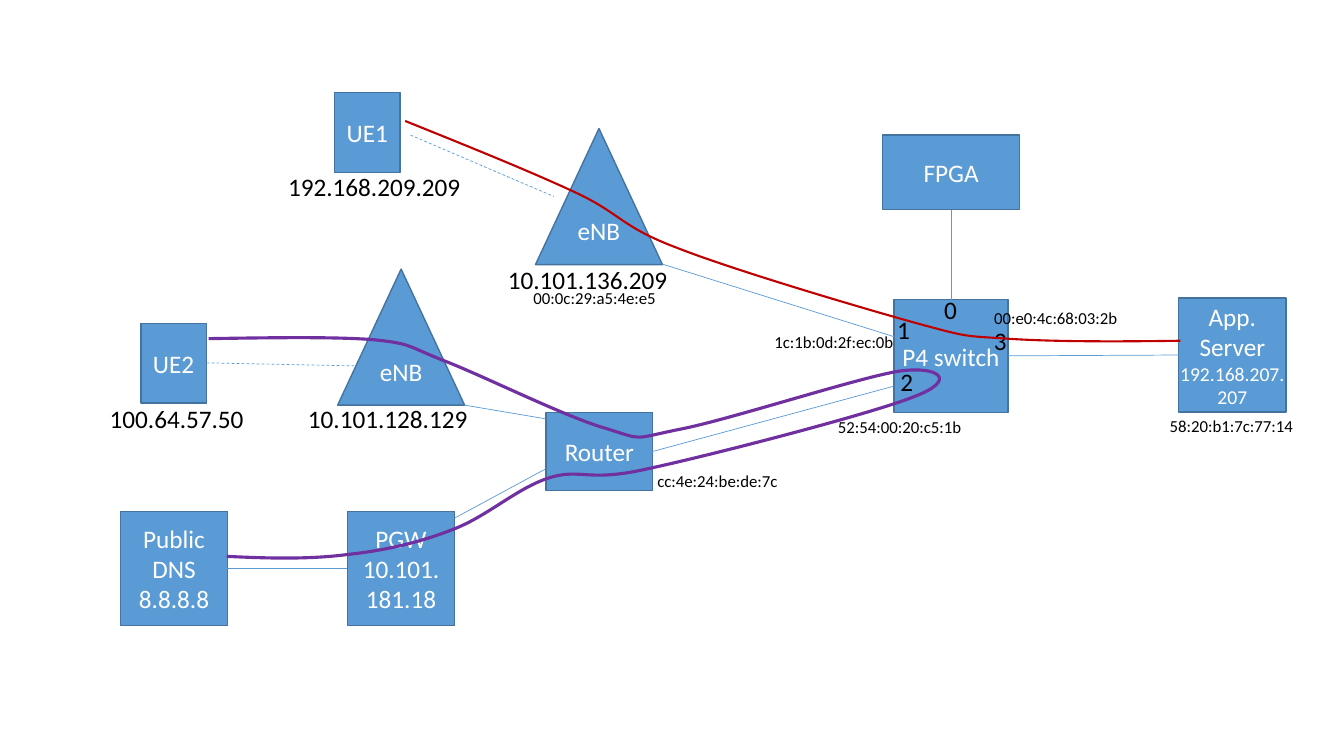
from lxml import etree
from pptx import Presentation
from pptx.dml.color import RGBColor
from pptx.enum.dml import MSO_LINE
from pptx.enum.shapes import MSO_CONNECTOR, MSO_SHAPE
from pptx.enum.text import MSO_ANCHOR, MSO_AUTO_SIZE, PP_ALIGN
from pptx.oxml.ns import qn
from pptx.util import Pt

RECT, TRIANGLE = MSO_SHAPE.RECTANGLE, MSO_SHAPE.ISOSCELES_TRIANGLE
STRAIGHT, DASH = MSO_CONNECTOR.STRAIGHT, MSO_LINE.DASH
MIDDLE, CENTER = MSO_ANCHOR.MIDDLE, PP_ALIGN.CENTER
GROW = MSO_AUTO_SIZE.SHAPE_TO_FIT_TEXT

BLUE = RGBColor(0x5B, 0x9B, 0xD5)
EDGE = RGBColor(0x43, 0x73, 0x9E)
WHITE = RGBColor(0xFF, 0xFF, 0xFF)
BLACK = RGBColor(0, 0, 0)
RED = RGBColor(0xC0, 0, 0)
PURPLE = RGBColor(0x70, 0x30, 0xA0)

FONT = "Calibri"
BOX, UE, TOWER = (76.6, 81.4), (46.8, 56.9), (90.7, 97.2)

# preset, text, left, top, (width, height), side inset, size of last paragraph
NODES = [
    (TRIANGLE, "eNB", 382.5, 91.8, TOWER, 7.2, 18),
    (RECT, "P4 switch", 638.6, 214, (81.4, 80.6), 0, 18),
    (RECT, "App.\vServer\n192.168.207.207", 842, 213, BOX, 0, 14),
    (RECT, "Router", 390, 294.5, (76.3, 56), 7.2, 18),
    (TRIANGLE, "eNB", 241.2, 192.2, TOWER, 7.2, 18),
    (RECT, "PGW\n10.101.181.18", 248.2, 365.5, BOX, 7.2, 18),
    (RECT, "FPGA", 630.4, 96.4, (98, 53.3), 7.2, 18),
    (RECT, "UE1", 239, 66.2, UE, 7.2, 18),
    (RECT, "UE2", 100.6, 230.9, UE, 7.2, 18),
    (RECT, "Public\vDNS\n8.8.8.8", 86, 365.5, BOX, 0, 18),
]

# x1, y1, x2, y2, dash
LINKS = [
    (473, 188.6, 638.6, 240.5, None),
    (720, 254.2, 842, 253.6, None),
    (331.9, 289.4, 390, 299.2, None),
    (324.7, 370.1, 390, 334.8, None),
    (465.8, 322.6, 638.6, 275.8, None),
    (679.4, 149.8, 679.4, 218.2, None),
    (293.2, 96.5, 395.8, 140.4, DASH),
    (147.6, 259.2, 255.6, 261.4, DASH),
    (162, 406.1, 248.2, 406.1, None),
]

# text, left, top, width
IP_LABELS = [
    ("10.101.136.209", 355.7, 185, 129.6),
    ("10.101.128.129", 212.9, 284.4, 129.6),
    ("192.168.209.209", 198.7, 118.8, 139),
    ("100.64.57.50", 71.3, 284.4, 110.9),
]
MAC_LABELS = [
    ("58:20:b1:7c:77:14", 828.3, 293.4, 104.4),
    ("cc:4e:24:be:de:7c", 462.4, 332.6, 102.2),
    ("00:e0:4c:68:03:2b", 703, 216.4, 104.4),
    ("1c:1b:0d:2f:ec:0b", 546, 233.3, 100.8),
    ("52:54:00:20:c5:1b", 591.4, 294.5, 104.4),
    ("00:0c:29:a5:4e:e5", 374, 202.3, 103.7),
]
PORTS = [
    ("0", 674.4, 210.2, 15.8),
    ("1", 640.8, 224.6, 15.8),
    ("3", 709.9, 232.6, 15.8),
    ("2", 643.2, 261.4, 15.8),
]

# Bezier curves: a start point, then two control points and an end point each
UE1_ROUTE = [
    (289.4, 86.4),
    (334.1, 104.4), (378.7, 122.4), (411.1, 137.5),
    (443.5, 152.6), (443.5, 162), (483.8, 177.1),
    (524.2, 193), (614.2, 219.6), (653, 230.4),
    (692.6, 241.2), (687.6, 239.8), (719.3, 241.9),
    (751, 244.1), (797, 244.1), (843.1, 243.4),
]
UE2_ROUTE = [
    (149, 241.9),
    (193.7, 241.2), (238.3, 240.5), (266.4, 242.6),
    (294.5, 245.5), (290.2, 247), (317.5, 257.8),
    (345.6, 268.6), (404.6, 298.1), (432.7, 306),
    (460.8, 314.6), (450, 313.9), (485.3, 306.7),
    (519.8, 300.2), (614.2, 269.3), (643, 265),
    (671, 261.4), (684, 271.4), (653.8, 283),
    (624.2, 295.2), (506.9, 325.4), (463, 334.8),
    (419, 344.9), (415.4, 334.1), (392.4, 341.3),
    (369.4, 348.5), (348.5, 368.6), (324, 378),
    (300.2, 387.4), (275.8, 393.1), (249.1, 396),
    (221.8, 399.6), (192.2, 398.9), (162, 397.4),
]


def set_attrs(obj, values):
    """Set each attribute named in a dict of format values."""
    for name, value in values.items():
        setattr(obj, name, value)


def style_line(line, color, width, dash=None):
    """Give a line its colour, width and dash."""
    line.color.rgb = color
    line.width = Pt(width)
    if dash is not None:
        line.dash_style = dash


def style_paragraph(p, size, color):
    """Format every run of a paragraph."""
    for r in p.runs:
        set_attrs(r.font, {"name": FONT, "size": Pt(size)})
        r.font.color.rgb = color


def add_node(s, preset, text, left, top, size, inset, last_size):
    """Add a blue network element with centred white text."""
    sp = s.shapes.add_shape(preset, Pt(left), Pt(top), *map(Pt, size))
    sp.shadow.inherit = False
    sp.fill.solid()
    sp.fill.fore_color.rgb = BLUE
    style_line(sp.line, EDGE, 1)
    tf = sp.text_frame
    set_attrs(tf, {"word_wrap": True, "vertical_anchor": MIDDLE,
                   "margin_left": Pt(inset), "margin_right": Pt(inset)})
    tf.text = text
    for p in tf.paragraphs:
        p.alignment = CENTER
        style_paragraph(p, 18, WHITE)
    style_paragraph(tf.paragraphs[-1], last_size, WHITE)


def add_link(s, x1, y1, x2, y2, dash):
    """Add a thin straight link between two network elements."""
    sp = s.shapes.add_connector(STRAIGHT, Pt(x1), Pt(y1), Pt(x2), Pt(y2))
    style_line(sp.line, BLUE, 0.5, dash)
    etree.SubElement(sp._element.spPr, qn("a:effectLst"))


def add_label(s, text, left, top, width, size, is_port=False):
    """Add a black address label, or a port number without margins."""
    height = size * 1.2 + (0 if is_port else 7.2)
    sp = s.shapes.add_textbox(Pt(left), Pt(top), Pt(width), Pt(height))
    tf = sp.text_frame
    set_attrs(tf, {"word_wrap": is_port, "auto_size": GROW})
    if is_port:
        sides = ("left", "top", "right", "bottom")
        set_attrs(tf, {f"margin_{side}": 0 for side in sides})
    tf.text = text
    style_paragraph(tf.paragraphs[0], size, BLACK)


def add_route(s, points, span, color, width):
    """Add a smooth open traffic route whose curve is span points wide."""
    fb = s.shapes.build_freeform(*map(Pt, points[0]))
    fb.add_line_segments([tuple(map(Pt, xy)) for xy in points[1:]], close=False)
    sp = fb.convert_to_shape()
    outline = sp._element.spPr.find(".//" + qn("a:path"))
    steps = outline.findall(qn("a:lnTo"))
    for i in range(0, len(steps), 3):
        curve = etree.SubElement(outline, qn("a:cubicBezTo"))
        for step in steps[i:i + 3]:
            curve.append(step[0])
            outline.remove(step)
    sp.width = Pt(span)
    outline.set("w", str(Pt(span)))
    sp.shadow.inherit = False
    sp.fill.background()
    style_line(sp.line, color, width)


def main():
    """Build the network diagram and save it."""
    prs = Presentation()
    set_attrs(prs, {"slide_width": Pt(960), "slide_height": Pt(540)})
    s = prs.slides.add_slide(prs.slide_layouts[6])
    for node in NODES:
        add_node(s, *node)
    for link in LINKS:
        add_link(s, *link)
    for label in IP_LABELS:
        add_label(s, *label, 18)
    for port in PORTS:
        add_label(s, *port, 18, is_port=True)
    add_route(s, UE1_ROUTE, 553.7, RED, 1.5)
    add_route(s, UE2_ROUTE, 522.7, PURPLE, 2.25)
    for label in MAC_LABELS:
        add_label(s, *label, 12)
    prs.save("out.pptx")


main()
